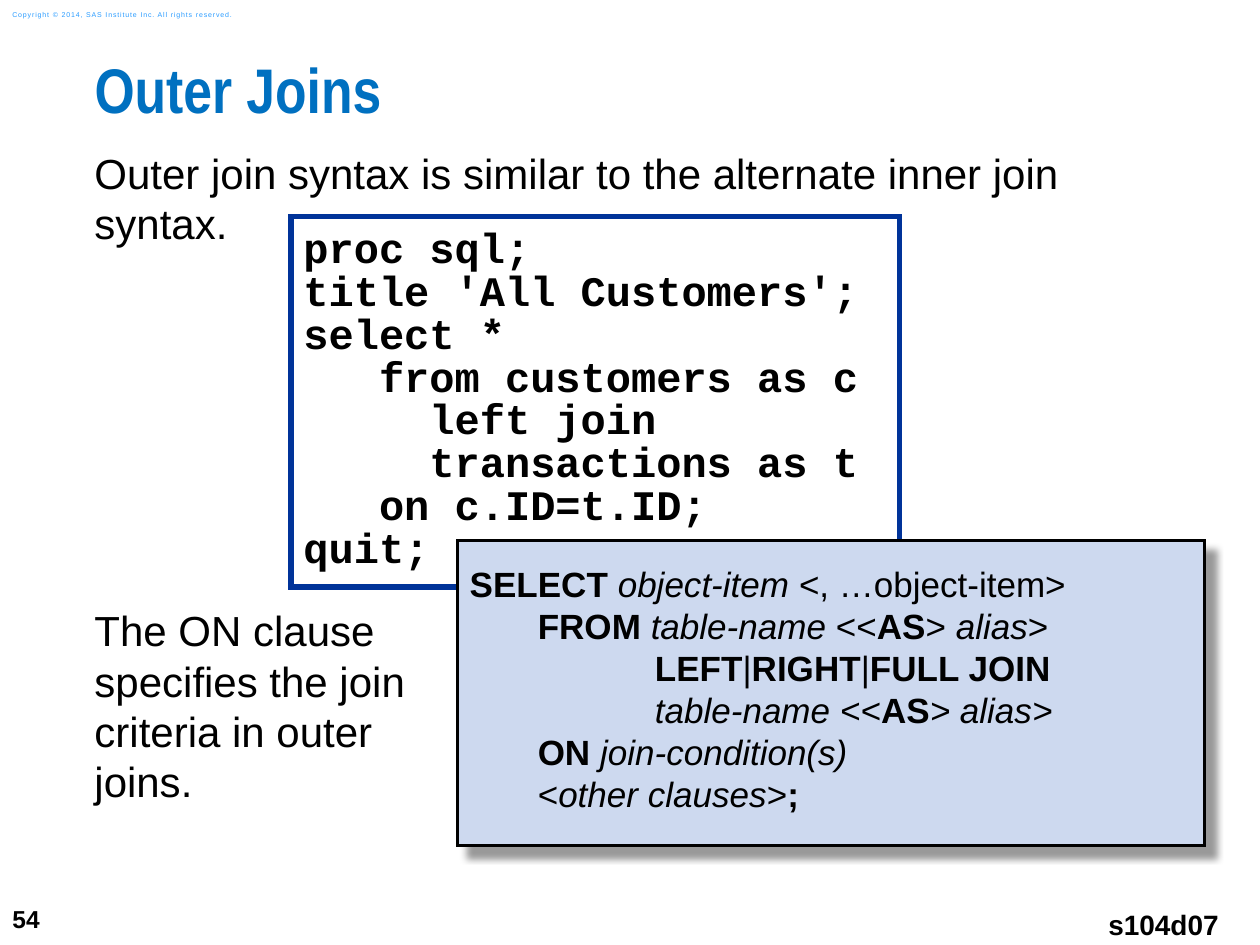
from lxml import etree
from pptx import Presentation
from pptx.dml.color import RGBColor
from pptx.enum import shapes, text
from pptx.oxml import ns
from pptx.util import Inches, Pt

COLORS = {
    "text": "000000",
    "title": "0070C0",
    "copyright": "2A9CFF",
    "code_fill": "FFFFFF",
    "code_line": "003399",
    "syntax_fill": "CDD9EF",
    "syntax_line": "000000",
}


def write(shape, lines, size, font="Arial", color="text", bold=False, spacing=None,
          insets=(0, 0, 0, 0), wrap=True, anchor=text.MSO_ANCHOR.TOP,
          align=text.PP_ALIGN.LEFT):
    """Fill a shape with one paragraph per line; insets are left, top, right, bottom."""
    frame = shape.text_frame
    frame.text = "\n".join(lines)
    frame.word_wrap = wrap
    frame.vertical_anchor = anchor
    frame.margin_left, frame.margin_top, frame.margin_right, frame.margin_bottom = [
        Inches(inset) for inset in insets]
    for para in frame.paragraphs:
        para.alignment = align
        if spacing:
            para.line_spacing = spacing
        for span in para.runs:
            style_span(span, size, font, color, bold)
    return frame


def style_span(span, size, font="Arial", color="text", bold=False, italic=False):
    span.font.size = Pt(size)
    span.font.name = font
    span.font.bold = bold
    span.font.italic = italic
    span.font.color.rgb = RGBColor.from_string(COLORS[color])


deck = Presentation()
deck.slide_width, deck.slide_height = Inches(10), Inches(7.5)
page = deck.slides.add_slide(deck.slide_layouts[5])

# Title
title = page.shapes.title
title.left, title.top = Inches(0.75), Inches(0.5)
title.width, title.height = Inches(9.25), Inches(0.74)
write(title, ["Outer Joins"], 36, "Arial Narrow", "title", bold=True, spacing=0.83)

# Body statements
statements = [
    (1.17, 8.56, 0.9, "Outer join syntax is similar to the alternate inner join syntax."),
    (4.8, 2.8, 1.7, "The ON clause specifies the join criteria in outer joins."),
]
for top, width, height, statement in statements:
    box = page.shapes.add_textbox(Inches(0.75), Inches(top), Inches(width), Inches(height))
    write(box, [statement], 24)

# Copyright, page number and program name
box = page.shapes.add_textbox(Inches(0), Inches(0.03), Inches(2.11), Inches(0.17))
frame = write(box, ["Copyright © 2014, SAS Institute Inc. All rights reserved."], 4,
              color="copyright", insets=(0.1, 0.05, 0.1, 0.05), wrap=False,
              anchor=text.MSO_ANCHOR.MIDDLE)
frame.paragraphs[0].runs[0].font._element.set("spc", "50")

box = page.shapes.add_textbox(Inches(0), Inches(7.08), Inches(0.58), Inches(0.42))
write(box, ["54"], 14, bold=True, insets=(0.1, 0.05, 0.1, 0.05), wrap=False,
      anchor=text.MSO_ANCHOR.MIDDLE)

box = page.shapes.add_textbox(Inches(8.69), Inches(7.1), Inches(1.08), Inches(0.47))
write(box, ["s104d07"], 16, bold=True, insets=(0.1, 0.1, 0.1, 0.1), wrap=False,
      align=text.PP_ALIGN.RIGHT)

# Code and syntax panels
panels = {}
for name, left, top, width, height, line_width in [
    ("code", 2.31, 1.72, 4.83, 2.94, 3),
    ("syntax", 3.63, 4.29, 5.93, 2.42, 1.5),
]:
    panel = page.shapes.add_shape(shapes.MSO_SHAPE.RECTANGLE, Inches(left), Inches(top),
                                  Inches(width), Inches(height))
    panel.shadow.inherit = False
    panel.fill.solid()
    panel.fill.fore_color.rgb = RGBColor.from_string(COLORS[name + "_fill"])
    panel.line.color.rgb = RGBColor.from_string(COLORS[name + "_line"])
    panel.line.width = Pt(line_width)
    outline = panel._element.spPr.find(ns.qn("a:ln"))
    etree.SubElement(outline, ns.qn("a:miter"), lim="800000")
    panels[name] = panel

code_lines = [
    "proc sql;",
    "title 'All Customers';",
    "select *",
    "   from customers as c",
    "     left join",
    "     transactions as t",
    "   on c.ID=t.ID;",
    "quit;",
]
write(panels["code"], code_lines, 24, "Courier New", bold=True, spacing=0.85,
      insets=(0.1, 0.1, 0.29, 0.1), wrap=False)

# Each syntax line: indent level, then (text, style) with b bold, i italic
syntax_lines = [
    (0, [("SELECT ", "b"), ("object-item", "i"), (" <, …object-item>", "")]),
    (1, [("FROM ", "b"), ("table-name ", "i"), ("<<", ""), ("AS", "b"), ("> ", ""),
         ("alias", "i"), (">", "")]),
    (2, [("LEFT", "b"), ("|", ""), ("RIGHT", "b"), ("|", ""), ("FULL JOIN", "b")]),
    (2, [("table-name <<", "i"), ("AS", "b"), ("> alias>", "i")]),
    (1, [("ON ", "b"), ("join-condition(s)", "i")]),
    (1, [("<", ""), ("other clauses", "i"), (">", ""), (";", "b")]),
]
indents = [0, 0.54, 1.47]
frame = write(panels["syntax"], [""] * len(syntax_lines), 20,
              insets=(0.1, 0.17, 0.1, 0.17))
for para, (level, spans) in zip(frame.paragraphs, syntax_lines):
    para._p.get_or_add_pPr().set("marL", str(Inches(indents[level])))
    for wording, style in spans:
        span = para.add_run()
        span.text = wording
        style_span(span, 20, bold=style == "b", italic=style == "i")

# Soft shadow under the syntax panel
effects = panels["syntax"]._element.spPr.find(ns.qn("a:effectLst"))
shadow = etree.SubElement(effects, ns.qn("a:outerShdw"), blurRad=str(Pt(4)),
                          dist=str(Pt(8.5)), dir="2700000", algn="tl", rotWithShape="0")
shade = etree.SubElement(shadow, ns.qn("a:srgbClr"), val=COLORS["text"])
etree.SubElement(shade, ns.qn("a:alpha"), val="40000")

deck.save("out.pptx")
